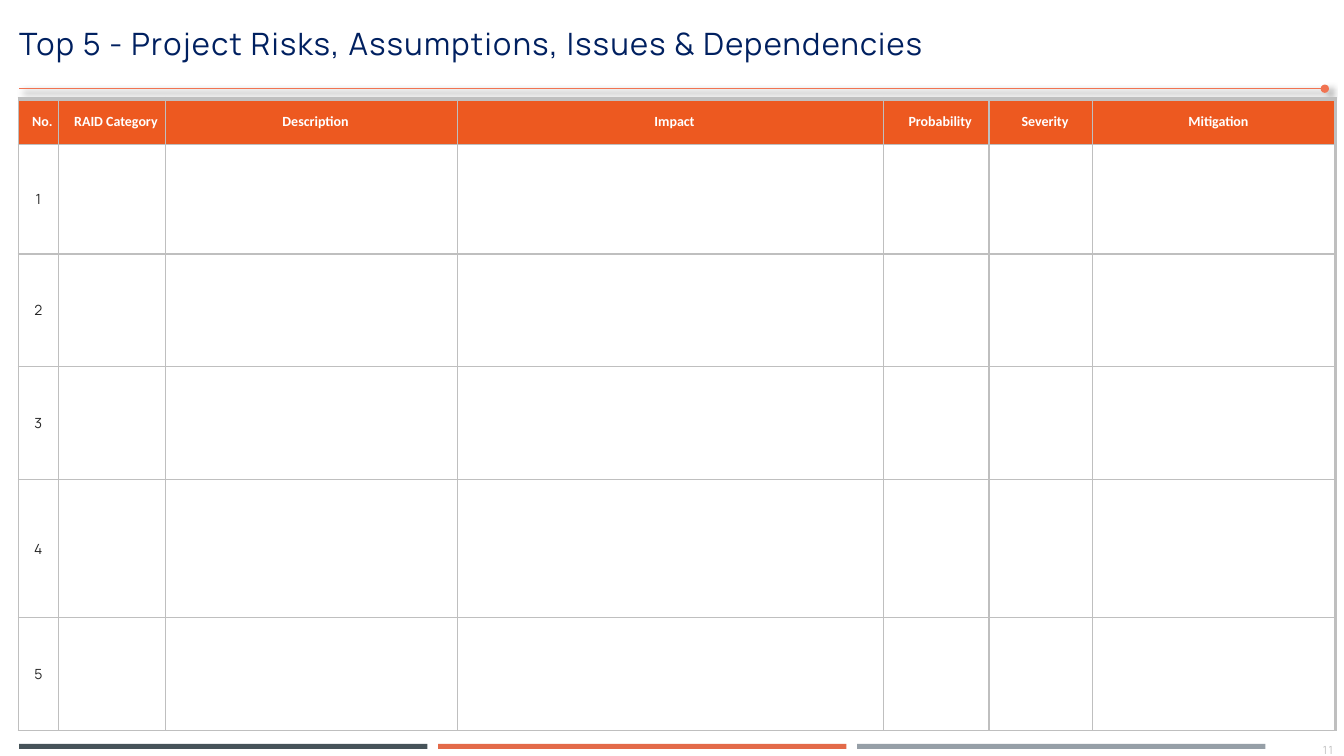
"""Build the Top 5 RAID register slide."""
import dataclasses

import lxml.etree
import pptx
import pptx.dml.color
import pptx.enum.shapes
import pptx.enum.text
import pptx.oxml
import pptx.oxml.ns
import pptx.util

TITLE = "Top 5 - Project Risks, Assumptions, Issues & Dependencies"
PAGE_NUMBER = "11"
COLUMNS = [("No.", 0.4), ("RAID Category", 1.06), ("Description", 2.9), ("Impact", 4.22),
           ("Probability", 1.05), ("Severity", 1.03), ("Mitigation", 2.41)]
HEADER_HEIGHT = 0.45
RISK_ROWS = [("1", 1.09), ("2", 1.12), ("3", 1.12), ("4", 1.37), ("5", 1.12)]
TABLE_LEFT, TABLE_TOP = 0.18, 0.98
EDGE, RULE_END, RULE_TOP = 0.19, 13.14, 0.88
BAR_WIDTH, BAR_PITCH, BAR_TOP, BAR_HEIGHT = 4.05, 4.155, 7.38, 0.05

inch = pptx.util.Inches
qn = pptx.oxml.ns.qn
CENTER = pptx.enum.text.PP_ALIGN.CENTER
MIDDLE = pptx.enum.text.MSO_ANCHOR.MIDDLE


@dataclasses.dataclass(frozen=True)
class Theme:
    """Colours, fonts and type sizes of the slide."""
    navy: str = "002060"
    orange: str = "ED5920"
    rule: str = "F17351"
    grid: str = "BFBFBF"
    ink: str = "262626"
    white: str = "FFFFFF"
    bars: tuple = ("465359", "E36A49", "969FA7")
    body_font: str = "Manrope"
    header_font: str = "Calibri"
    title_size: int = 22
    table_size: int = 10
    number_size: int = 8


THEME = Theme()


def rgb(value):
    """Turn a hex string into a colour."""
    return pptx.dml.color.RGBColor.from_string(value)


def write(frame, text, size, color, font=THEME.body_font, bold=False, align=None, spacing=100):
    """Put one styled line into a text frame."""
    frame.text = text
    para = frame.paragraphs[0]
    para.alignment = align
    span = para.runs[0]
    span.font.name, span.font.bold = font, bold
    span.font.size = pptx.util.Pt(size)
    span.font.color.rgb = rgb(color)
    if spacing:
        span._r.get_or_add_rPr().set("spc", str(spacing))
    return para


def add_text_box(page, place, text, size, color, align=None):
    """Add a vertically centred text box."""
    frame = page.shapes.add_textbox(*map(inch, place)).text_frame
    frame.word_wrap = True
    frame.vertical_anchor = MIDDLE
    return write(frame, text, size, color, align=align)


def add_rule(page):
    """Draw the shadowed rule with its round end."""
    rule = page.shapes.add_connector(
        pptx.enum.shapes.MSO_CONNECTOR.STRAIGHT,
        inch(EDGE), inch(RULE_TOP), inch(RULE_END), inch(RULE_TOP))
    rule.line.color.rgb = rgb(THEME.rule)
    rule.line.width = pptx.util.Pt(0.5)
    lxml.etree.SubElement(rule.line._get_or_add_ln(), qn("a:tailEnd"), type="oval")
    rule._element.spPr.append(pptx.oxml.parse_xml(
        f'<a:effectLst {pptx.oxml.ns.nsdecls("a")}>'
        '<a:outerShdw blurRad="50800" dist="38100" dir="2700000" algn="tl">'
        '<a:srgbClr val="000000"><a:alpha val="40000"/></a:srgbClr>'
        '</a:outerShdw></a:effectLst>'))


def add_bars(page):
    """Draw the evenly spaced footer bars."""
    for index, color in enumerate(THEME.bars):
        bar = page.shapes.add_shape(
            pptx.enum.shapes.MSO_SHAPE.RECTANGLE, inch(EDGE + index * BAR_PITCH),
            inch(BAR_TOP), inch(BAR_WIDTH), inch(BAR_HEIGHT))
        bar.shadow.inherit = False
        bar.fill.solid()
        bar.fill.fore_color.rgb = rgb(color)
        bar.line.fill.background()


def style_cell(cell, fill, top, right):
    """Set the borders and then the fill of a cell."""
    properties = cell._tc.get_or_add_tcPr()
    for side, width in (("L", 1), ("R", right), ("T", top), ("B", 1)):
        line = lxml.etree.SubElement(properties, qn(f"a:ln{side}"), w=str(pptx.util.Pt(width)))
        solid = lxml.etree.SubElement(line, qn("a:solidFill"))
        lxml.etree.SubElement(solid, qn("a:srgbClr"), val=THEME.grid)
    cell.fill.solid()
    cell.fill.fore_color.rgb = rgb(fill)
    cell.vertical_anchor = MIDDLE


def add_register(page):
    """Add the register table with its header and numbered rows."""
    widths = [width for _, width in COLUMNS]
    heights = [HEADER_HEIGHT] + [height for _, height in RISK_ROWS]
    table = page.shapes.add_table(
        len(heights), len(widths), inch(TABLE_LEFT), inch(TABLE_TOP),
        inch(sum(widths)), inch(sum(heights))).table
    table.first_row = table.horz_banding = False
    for column, width in zip(table.columns, widths):
        column.width = inch(width)
    for row, height in zip(table.rows, heights):
        row.height = inch(height)
    for row_index in range(len(heights)):
        header = row_index == 0
        for column_index in range(len(widths)):
            last = column_index == len(widths) - 1
            style_cell(table.cell(row_index, column_index),
                       THEME.orange if header else THEME.white,
                       3 if header else 1, 2.25 if last else 1)
    for index, (label, _) in enumerate(COLUMNS):
        cell = table.cell(0, index)
        cell.margin_left, cell.margin_bottom = inch(0.09), 0
        cell.margin_top = cell.margin_right = inch(0.01)
        write(cell.text_frame, label, THEME.table_size, THEME.white,
              THEME.header_font, True, CENTER, 0)
    for index, (number, _) in enumerate(RISK_ROWS, 1):
        write(table.cell(index, 0).text_frame, number, THEME.table_size, THEME.ink, align=CENTER)


def main():
    """Assemble and save the deck."""
    deck = pptx.Presentation()
    deck.slide_width, deck.slide_height = inch(13.33), inch(7.5)
    page = deck.slides.add_slide(deck.slide_layouts[6])
    add_text_box(page, (11.67, 7.32, 3, 0.24), PAGE_NUMBER, THEME.number_size, THEME.grid, CENTER)
    add_rule(page)
    add_bars(page)
    title = add_text_box(page, (0.09, 0.24, 10.28, 0.43), TITLE, THEME.title_size, THEME.navy)
    title.line_spacing = 0.9
    title.space_after = pptx.util.Pt(6)
    add_register(page)
    deck.save("out.pptx")


if __name__ == "__main__":
    main()
